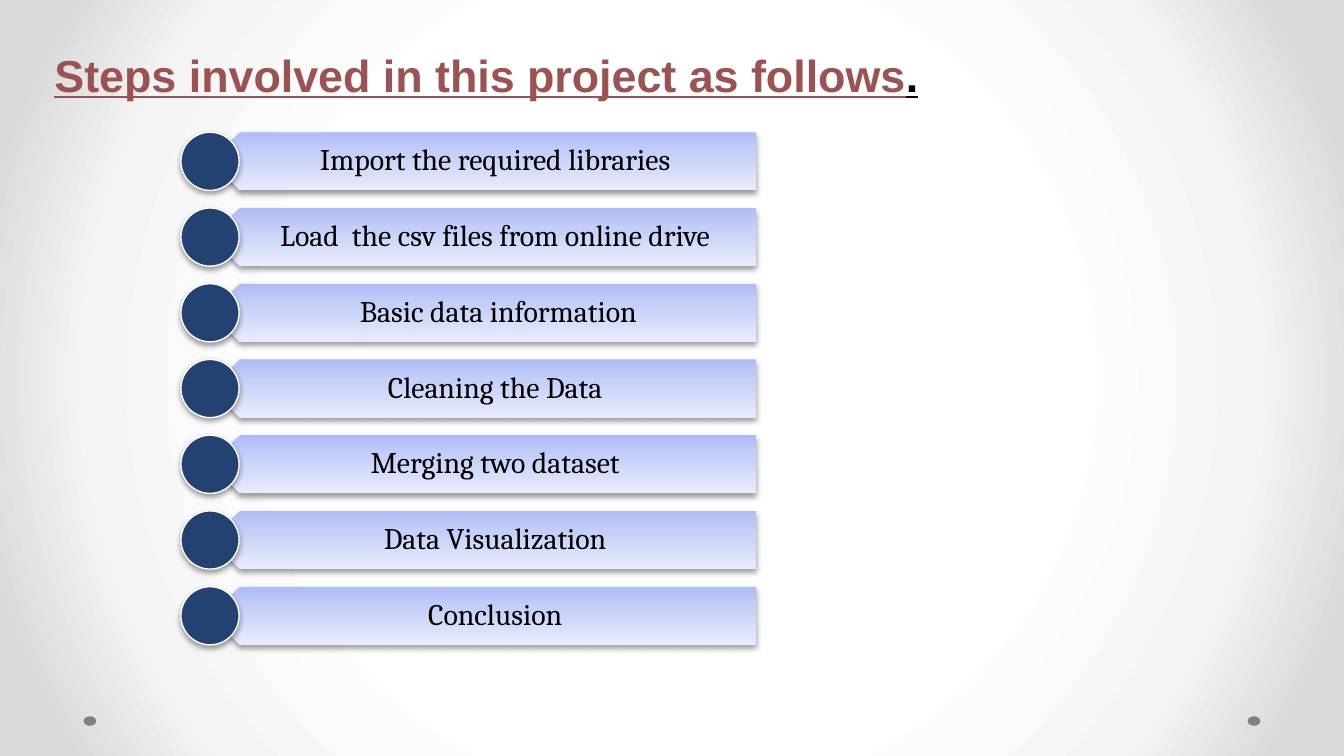
from lxml import etree
from pptx import Presentation
from pptx import util as u
from pptx.dml.color import RGBColor
from pptx.enum import shapes, text
from pptx.oxml import parse_xml
from pptx.oxml.ns import nsdecls, qn

STEPS = [
    "Import the required libraries",
    "Load  the csv files from online drive",
    " Basic data information",
    "Cleaning the Data",
    "Merging two dataset",
    "Data Visualization",
    "Conclusion",
]
PLATE = [(0, "ADBBF6"), (35, "C5CFF8"), (100, "E8ECFD")]
GLOW = [(50, "FFFFFF"), (76, "F4F4F4"), (92, "DADADA")]
LINEAR = '<a:lin ang="16200000" scaled="1"/>'
RADIAL = ('<a:path path="circle"><a:fillToRect l="50000" t="50000" '
          'r="50000" b="50000"/></a:path>')


def color(code):
    """Turn a hex string into a colour."""
    return RGBColor.from_string(code)


def blend(fill, root, stops, shade):
    """Give the fill held by root a gradient with any number of stops."""
    fill.gradient()
    old = root.find(".//" + qn("a:gradFill"))
    marks = "".join(
        f'<a:gs pos="{pos * 1000}"><a:srgbClr val="{code}"/></a:gs>'
        for pos, code in stops)
    new = parse_xml(f'<a:gradFill {nsdecls("a")} rotWithShape="1">'
                    f'<a:gsLst>{marks}</a:gsLst>{shade}</a:gradFill>')
    old.getparent().replace(old, new)


def shade(shape):
    """Drop a soft shadow straight below a shape."""
    shape.shadow.inherit = False
    effects = shape.element.spPr.find(qn("a:effectLst"))
    drop = etree.SubElement(effects, qn("a:outerShdw"), blurRad="39370",
                            dist="20320", dir="5400000", rotWithShape="0")
    tint = etree.SubElement(drop, qn("a:srgbClr"), val="000000")
    etree.SubElement(tint, qn("a:alpha"), val="38000")


def disc(slide, x, y, w, h, code):
    """Draw a plain ellipse."""
    shape = slide.shapes.add_shape(shapes.MSO_SHAPE.OVAL, x, y, w, h)
    shape.shadow.inherit = False
    shape.fill.solid()
    shape.fill.fore_color.rgb = color(code)
    shape.line.fill.background()
    return shape


def title(slide, x, y, w, h):
    """Write the underlined heading."""
    frame = slide.shapes.add_textbox(x, y, w, h).text_frame
    frame.word_wrap = False
    frame.auto_size = text.MSO_AUTO_SIZE.SHAPE_TO_FIT_TEXT
    para = frame.paragraphs[0]
    parts = [("Steps involved in this project as follows", "9C5252"),
             (".", "000000")]
    for words, code in parts:
        run = para.add_run()
        run.text = words
        font = run.font
        font.name, font.size = "Arial", u.Pt(24)
        font.bold = font.underline = True
        font.color.rgb = color(code)


def step(slide, x, y, w, h, words):
    """Draw one step: a plate, its label and a round marker."""
    inset = u.Cm(0.57)
    plate = slide.shapes.add_shape(
        shapes.MSO_SHAPE.PENTAGON, x + inset, y, w - inset, h)
    plate.rotation = 180
    plate.line.fill.background()
    blend(plate.fill, plate.element.spPr, PLATE, LINEAR)
    shade(plate)

    left = inset + u.Cm(0.26)
    frame = slide.shapes.add_textbox(x + left, y, w - left, h).text_frame
    frame.word_wrap = True
    frame.vertical_anchor = text.MSO_ANCHOR.MIDDLE
    frame.margin_left, frame.margin_right = u.Cm(0.48), u.Cm(0.3)
    frame.margin_top = frame.margin_bottom = u.Cm(0.18)
    para = frame.paragraphs[0]
    para.text = words
    para.alignment = text.PP_ALIGN.CENTER
    para.line_spacing = 0.9
    para.font.name, para.font.size = "Cambria", u.Pt(16)
    para.font.color.rgb = color("000000")

    mark = disc(slide, x, y, h, h, "234271")
    mark.line.color.rgb = color("FFFFFF")
    mark.line.width = u.Pt(0.75)
    shade(mark)


def steps(slide, x, y, w, h):
    """Stack the steps at an even pitch inside the box."""
    tall = u.Cm(1.1)
    pitch = (h - tall) / (len(STEPS) - 1)
    for i, words in enumerate(STEPS):
        step(slide, x, y + round(i * pitch), w, tall, words)


def back(slide, wide, high):
    """Paint the backdrop and its two small dots."""
    blend(slide.background.fill, slide.element, GLOW, RADIAL)
    edge, w, h = u.Cm(1.58), u.Cm(0.24), u.Cm(0.18)
    for x in (wide - edge - w, edge):
        disc(slide, x, high - u.Cm(0.75), w, h, "808080")


def main():
    """Build and save the deck."""
    deck = Presentation()
    deck.slide_width, deck.slide_height = u.Cm(25.4), u.Cm(14.29)
    slide = deck.slides.add_slide(deck.slide_layouts[6])
    back(slide, deck.slide_width, deck.slide_height)
    title(slide, u.Cm(0.78), u.Cm(0.77), u.Cm(16.97), u.Cm(1.28))
    steps(slide, u.Cm(3.42), u.Cm(2.5), u.Cm(10.87), u.Cm(9.69))
    deck.save("out.pptx")


if __name__ == "__main__":
    main()
